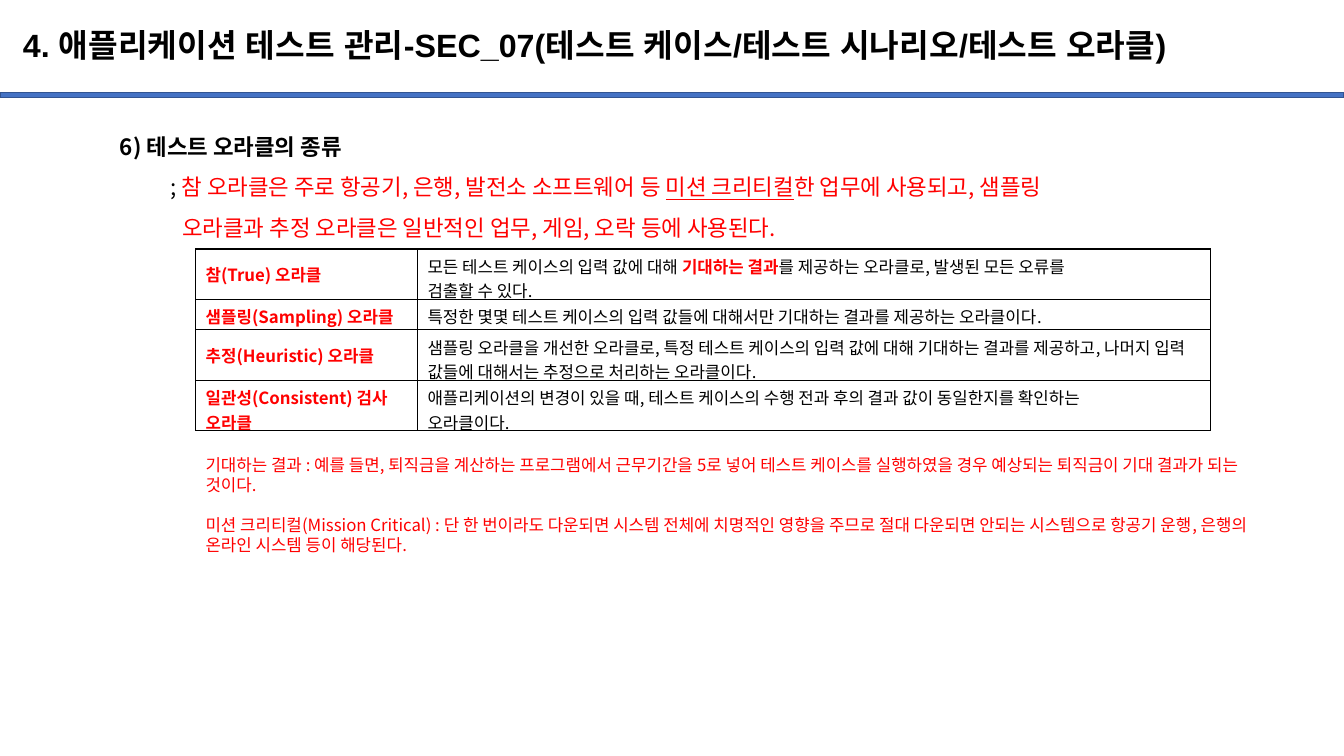
"""Build the slide on the kinds of test oracle."""
from dataclasses import dataclass

from lxml.etree import SubElement
from pptx import Presentation
from pptx.dml.color import RGBColor
from pptx.enum.shapes import MSO_SHAPE as Shape
from pptx.enum.text import MSO_ANCHOR as Anchor
from pptx.oxml.ns import qn
from pptx.util import Inches, Pt

BLACK, RED, BLUE, NAVY = "000000", "FF0000", "4472C4", "325491"
KOREAN = "Noto Sans CJK KR"


@dataclass
class Run:
    text: str
    color: str = BLACK
    bold: bool = False
    underline: bool = False


@dataclass
class Line:
    runs: list[Run]
    indent: float = 0
    before: float = 0
    spacing: float = 1.0


@dataclass
class TextBox:
    place: tuple[float, float, float, float]
    lines: list[Line]
    size: float
    font: str = KOREAN
    anchor: Anchor = Anchor.TOP


@dataclass
class Oracle:
    name: list[str]
    meaning: list[list[Run]]
    height: float


TITLE = "4. 애플리케이션 테스트 관리-SEC_07(테스트 케이스/테스트 시나리오/테스트 오라클)"
BOXES = [
    TextBox((0.13, 0.1, 13, 0.74), [Line([Run(TITLE, bold=True)], spacing=0.9)],
            23, "Arial", Anchor.MIDDLE),
    TextBox((1.09, 1.14, 11.72, 1.72), [
        Line([Run("6) 테스트 오라클의 종류", bold=True)], spacing=1.5),
        Line([Run("; "),
              Run("참 오라클은 주로 항공기, 은행, 발전소 소프트웨어 등 ", RED),
              Run("미션 크리티컬", RED, underline=True),
              Run("한 업무에 사용되고, 샘플링", RED)], 0.5, spacing=1.5),
        Line([Run("오라클과 추정 오라클은 일반적인 업무, 게임, 오락 등에 사용된다.", RED)],
             0.62, spacing=1.5),
    ], 16),
    TextBox((1.94, 4.46, 10.87, 1.11), [
        Line([Run("기대하는 결과 : 예를 들면, 퇴직금을 계산하는 프로그램에서 근무기간을 5로 넣어 "
                  "테스트 케이스를 실행하였을 경우 예상되는 퇴직금이 기대 결과가 되는 것이다.", RED)]),
        Line([Run("미션 크리티컬(Mission Critical) : 단 한 번이라도 다운되면 시스템 전체에 치명적인 "
                  "영향을 주므로 절대 다운되면 안되는 시스템으로 항공기 운행, 은행의 온라인 시스템 "
                  "등이 해당된다.", RED)], before=0.2),
    ], 12),
]
ORACLES = [
    Oracle(["참(True) 오라클"], [
        [Run("모든 테스트 케이스의 입력 값에 대해 "), Run("기대하는 결과", RED, True),
         Run("를 제공하는 오라클로, 발생된 모든 오류를")],
        [Run("검출할 수 있다.")]], 0.5),
    Oracle(["샘플링(Sampling) 오라클"], [
        [Run("특정한 몇몇 테스트 케이스의 입력 값들에 대해서만 기대하는 결과를 제공하는 "
             "오라클이다.")]], 0.3),
    Oracle(["추정(Heuristic) 오라클"], [
        [Run("샘플링 오라클을 개선한 오라클로, 특정 테스트 케이스의 입력 값에 대해 기대하는 "
             "결과를 제공하고, 나머지 입력 값들에 대해서는 추정으로 처리하는 오라클이다.")]], 0.5),
    Oracle(["일관성(Consistent) 검사", "오라클"], [
        [Run("애플리케이션의 변경이 있을 때, 테스트 케이스의 수행 전과 후의 결과 값이 "
             "동일한지를 확인하는")],
        [Run("오라클이다.")]], 0.5),
]


def rgb(color: str) -> RGBColor:
    return RGBColor.from_string(color)


def write(frame, lines: list[Line], size: float, font: str = KOREAN) -> None:
    for index, line in enumerate(lines):
        paragraph = frame.paragraphs[0] if index == 0 else frame.add_paragraph()
        paragraph.line_spacing = line.spacing
        if line.before:
            paragraph.space_before = Inches(line.before)
        if line.indent:
            paragraph._p.get_or_add_pPr().set("marL", str(Inches(line.indent)))
        for part in line.runs:
            run = paragraph.add_run()
            run.text = part.text
            formats = {"name": font, "size": Pt(size), "bold": part.bold,
                       "underline": part.underline}
            for name, value in formats.items():
                setattr(run.font, name, value)
            run.font.color.rgb = rgb(part.color)
            SubElement(run._r.get_or_add_rPr(), qn("a:ea"), typeface=font)


def add_text(slide, box: TextBox) -> None:
    frame = slide.shapes.add_textbox(*map(Inches, box.place)).text_frame
    frame.word_wrap = True
    frame.vertical_anchor = box.anchor
    write(frame, box.lines, box.size, box.font)


def add_rule(slide) -> None:
    rule = slide.shapes.add_shape(Shape.RECTANGLE, *map(Inches, (0, 0.92, 13.33, 0.05)))
    rule.shadow.inherit = False
    rule.fill.solid()
    rule.fill.fore_color.rgb = rgb(BLUE)
    rule.line.color.rgb = rgb(NAVY)
    rule.line.width = Pt(1)


def fill_cell(cell, lines: list[Line]) -> None:
    cell.vertical_anchor = Anchor.MIDDLE
    write(cell.text_frame, lines, 12)
    properties = cell._tc.get_or_add_tcPr()
    for side in ("a:lnL", "a:lnR", "a:lnT", "a:lnB"):
        border = SubElement(properties, qn(side), w=str(Pt(1)))
        fill = SubElement(border, qn("a:solidFill"))
        SubElement(fill, qn("a:srgbClr"), val=BLACK)
    cell.fill.background()


def add_oracles(slide) -> None:
    place = map(Inches, (1.94, 2.47, 10.08, 1.8))
    table = slide.shapes.add_table(len(ORACLES), 2, *place).table
    table.first_row = table.horz_banding = False
    for column, width in zip(table.columns, (2.2, 7.87)):
        column.width = Inches(width)
    for index, oracle in enumerate(ORACLES):
        table.rows[index].height = Inches(oracle.height)
        names = [Line([Run(name, RED, True)]) for name in oracle.name]
        fill_cell(table.cell(index, 0), names)
        fill_cell(table.cell(index, 1), [Line(runs) for runs in oracle.meaning])


def main() -> None:
    presentation = Presentation()
    presentation.slide_width = Inches(13.33)
    presentation.slide_height = Inches(7.5)
    slide = presentation.slides.add_slide(presentation.slide_layouts[6])
    add_rule(slide)
    for box in BOXES:
        add_text(slide, box)
    add_oracles(slide)
    presentation.save("out.pptx")


if __name__ == "__main__":
    main()
